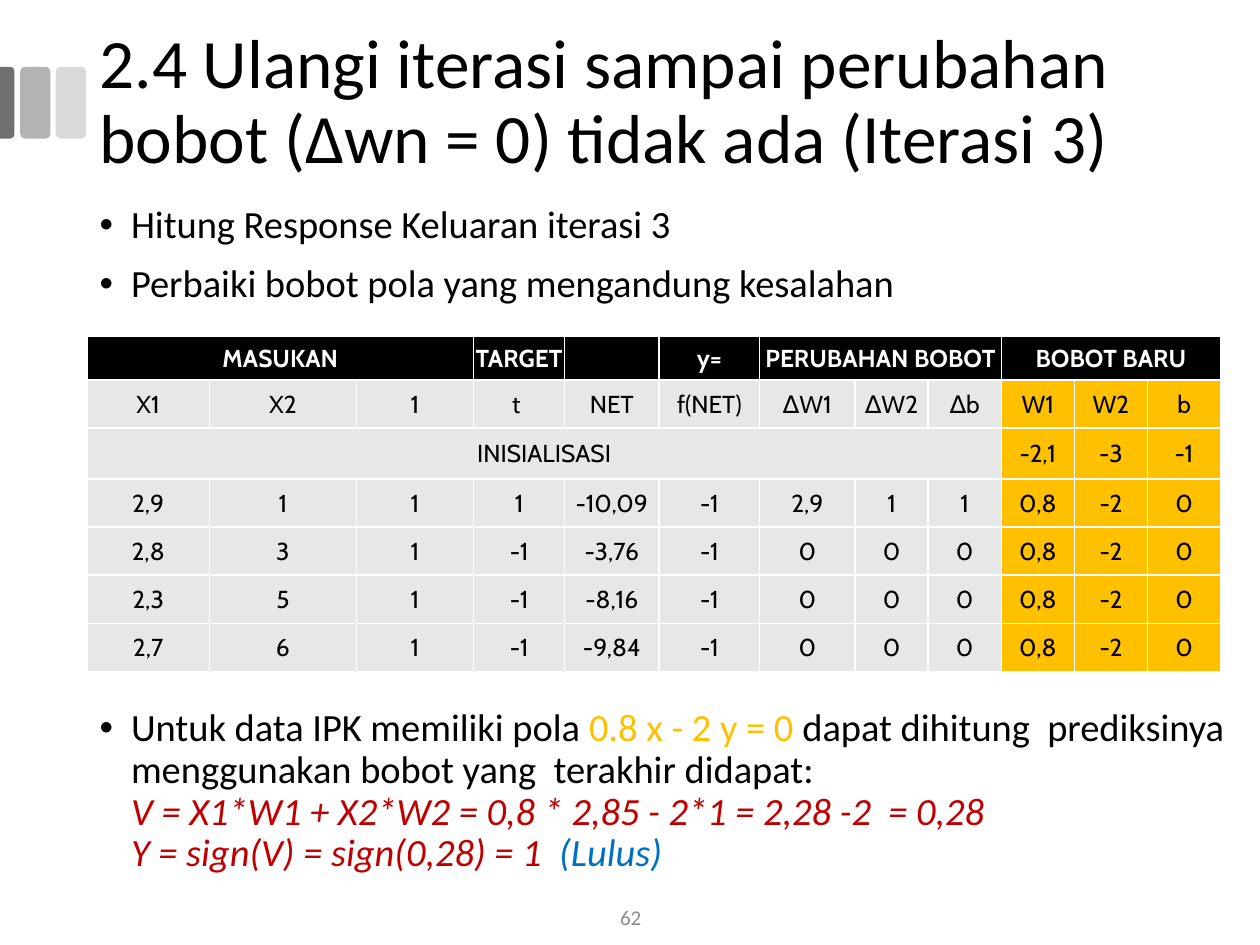
"""Build the perceptron iteration 3 slide with its weight table."""
from pptx import Presentation
from pptx.dml.color import RGBColor
from pptx.enum.shapes import MSO_SHAPE as SHAPE
from pptx.enum.text import MSO_ANCHOR as ANCHOR, MSO_AUTO_SIZE as AUTO, PP_ALIGN as ALIGN
from pptx.util import Pt

BLACK = RGBColor(0x00, 0x00, 0x00)
WHITE = RGBColor(0xFF, 0xFF, 0xFF)
GOLD = RGBColor(0xFF, 0xC0, 0x00)
RED = RGBColor(0xC0, 0x00, 0x00)
BLUE = RGBColor(0x00, 0x70, 0xC0)
CELL_GRAY = RGBColor(0xE7, 0xE7, 0xE7)
NUMBER_GRAY = RGBColor(0x8C, 0x8C, 0x8C)
LIGHT_GRAY = RGBColor(0xD9, 0xD9, 0xD9)
MID_GRAY = RGBColor(0xB3, 0xB3, 0xB3)
DARK_GRAY = RGBColor(0x70, 0x70, 0x70)

TITLE = "2.4 Ulangi iterasi sampai perubahan bobot (∆wn = 0) tidak ada (Iterasi 3)"
BULLETS = [
    (10, [("Hitung Response Keluaran iterasi 3", BLACK, False)]),
    (10, [("Perbaiki bobot pola yang mengandung kesalahan", BLACK, False)]),
    (230, [
        ("Untuk data IPK memiliki pola ", BLACK, False),
        ("0.8 x - 2 y = 0 ", GOLD, False),
        ("dapat dihitung  prediksinya menggunakan bobot yang  terakhir didapat:\n", BLACK, False),
        ("V = X1*W1 + X2*W2 = 0,8 * 2,85 - 2*1 = 2,28 -2  = 0,28\n"
         "Y = sign(V) = sign(0,28) = 1  ", RED, True),
        ("(Lulus)", BLUE, True),
    ]),
]
ROWS = [
    ["MASUKAN", "", "", "TARGET", "", "y=", "PERUBAHAN BOBOT", "", "", "BOBOT BARU", "", ""],
    ["X1", "X2", "1", "t ", "NET", "f(NET)", "∆W1", "∆W2", "∆b", "W1", "W2", "b"],
    ["INISIALISASI", "", "", "", "", "", "", "", "", "-2,1", "-3", "-1"],
    ["2,9", "1", "1", "1", "-10,09", "-1", "2,9", "1", "1", "0,8", "-2", "0"],
    ["2,8", "3", "1", "-1", "-3,76", "-1", "0", "0", "0", "0,8", "-2", "0"],
    ["2,3", "5", "1", "-1", "-8,16", "-1", "0", "0", "0", "0,8", "-2", "0"],
    ["2,7", "6", "1", "-1", "-9,84", "-1", "0", "0", "0", "0,8", "-2", "0"],
]
MERGES = [(0, 0, 2), (0, 6, 8), (0, 9, 11), (2, 0, 8)]
COL_WIDTHS = [70, 84, 67, 52, 54, 57.5, 54.5] + [41.8] * 5
ROW_HEIGHTS = [25, 27.5, 29] + [27.5] * 4
FIRST_WEIGHT_COL = 9
BARS = [
    (SHAPE.ROUNDED_RECTANGLE, (31.9, 38.2, 17.3, 41), 0, LIGHT_GRAY),
    (SHAPE.ROUNDED_RECTANGLE, (11.6, 38.2, 17.3, 41), 0, MID_GRAY),
    (SHAPE.ROUND_2_SAME_RECTANGLE, (-16.5, 54.5, 41, 8.4), 90, DARK_GRAY),
]


def add_run(p, text, size, color, font="Calibri", bold=False, italic=False):
    for i, line in enumerate(text.split("\n")):
        if i:
            p.add_line_break()
        if line:
            r = p.add_run()
            r.text = line
            r.font.name, r.font.size = font, Pt(size)
            r.font.bold, r.font.italic = bold, italic
            r.font.color.rgb = color


def place(sp, left, top, width, height):
    sp.left, sp.top, sp.width, sp.height = Pt(left), Pt(top), Pt(width), Pt(height)
    sp.text_frame.word_wrap = True
    sp.text_frame.auto_size = AUTO.NONE
    return sp.text_frame


def add_bars(slide):
    for kind, box, angle, color in BARS:
        sp = slide.shapes.add_shape(kind, *map(Pt, box))
        sp.rotation = angle
        sp.shadow.inherit = False
        sp.fill.solid()
        sp.fill.fore_color.rgb = color
        sp.line.fill.background()
        if kind == SHAPE.ROUND_2_SAME_RECTANGLE:
            sp.adjustments[0] = 0.29


def add_texts(slide):
    tf = place(slide.shapes.title, 49.7, 12.2, 620.6, 94.3)
    tf.vertical_anchor = ANCHOR.MIDDLE
    p = tf.paragraphs[0]
    p.alignment, p.line_spacing = ALIGN.LEFT, 0.9
    add_run(p, TITLE, 39.6, BLACK)

    tf = place(slide.placeholders[1], 49.7, 113.8, 658.8, 418.3)
    for i, (gap, runs) in enumerate(BULLETS):
        p = tf.add_paragraph() if i else tf.paragraphs[0]
        p.line_spacing, p.space_before = 0.9, Pt(gap)
        pPr = p._p.get_or_add_pPr()
        pPr.set("marL", str(Pt(18)))
        pPr.set("indent", str(-Pt(18)))
        for text, color, italic in runs:
            add_run(p, text, 22, color, italic=italic)


def add_weight_table(slide):
    table = slide.shapes.add_table(
        len(ROWS), len(COL_WIDTHS), Pt(49.7), Pt(192.2),
        Pt(sum(COL_WIDTHS)), Pt(sum(ROW_HEIGHTS))).table
    table.horz_banding = False
    for col, width in zip(table.columns, COL_WIDTHS):
        col.width = Pt(width)
    for row, height in zip(table.rows, ROW_HEIGHTS):
        row.height = Pt(height)
    for r, first, last in MERGES:
        table.cell(r, first).merge(table.cell(r, last))
    for r, texts in enumerate(ROWS):
        header = r == 0
        for c, text in enumerate(texts):
            cell = table.cell(r, c)
            cell.fill.solid()
            body_fill = GOLD if c >= FIRST_WEIGHT_COL else CELL_GRAY
            cell.fill.fore_color.rgb = BLACK if header else body_fill
            cell.vertical_anchor = ANCHOR.MIDDLE
            cell.margin_left = cell.margin_right = cell.margin_top = Pt(0.7)
            cell.margin_bottom = 0
            p = cell.text_frame.paragraphs[0]
            p.alignment = ALIGN.CENTER
            if text:
                add_run(p, text, 14, WHITE if header else BLACK, "Cabin", header)


def add_slide_number(slide):
    tf = place(slide.shapes.add_textbox(0, 0, 0, 0), 279.4, 509.8, 162, 28.8)
    tf.vertical_anchor = ANCHOR.MIDDLE
    p = tf.paragraphs[0]
    p.alignment = ALIGN.CENTER
    add_run(p, "62", 12, NUMBER_GRAY)


def main():
    prs = Presentation()
    prs.slide_width, prs.slide_height = Pt(720), Pt(540)
    slide = prs.slides.add_slide(prs.slide_layouts[1])
    add_bars(slide)
    add_texts(slide)
    add_weight_table(slide)
    add_slide_number(slide)
    prs.save("out.pptx")


if __name__ == "__main__":
    main()
